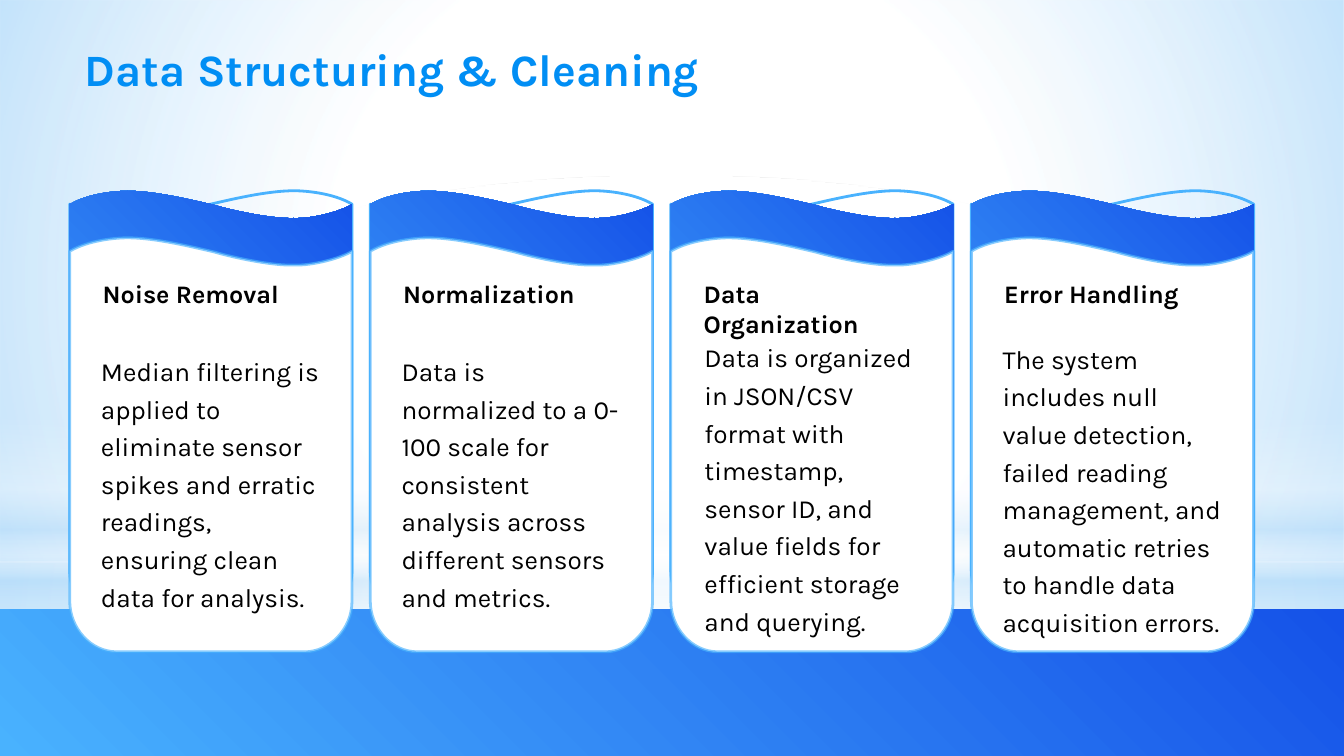
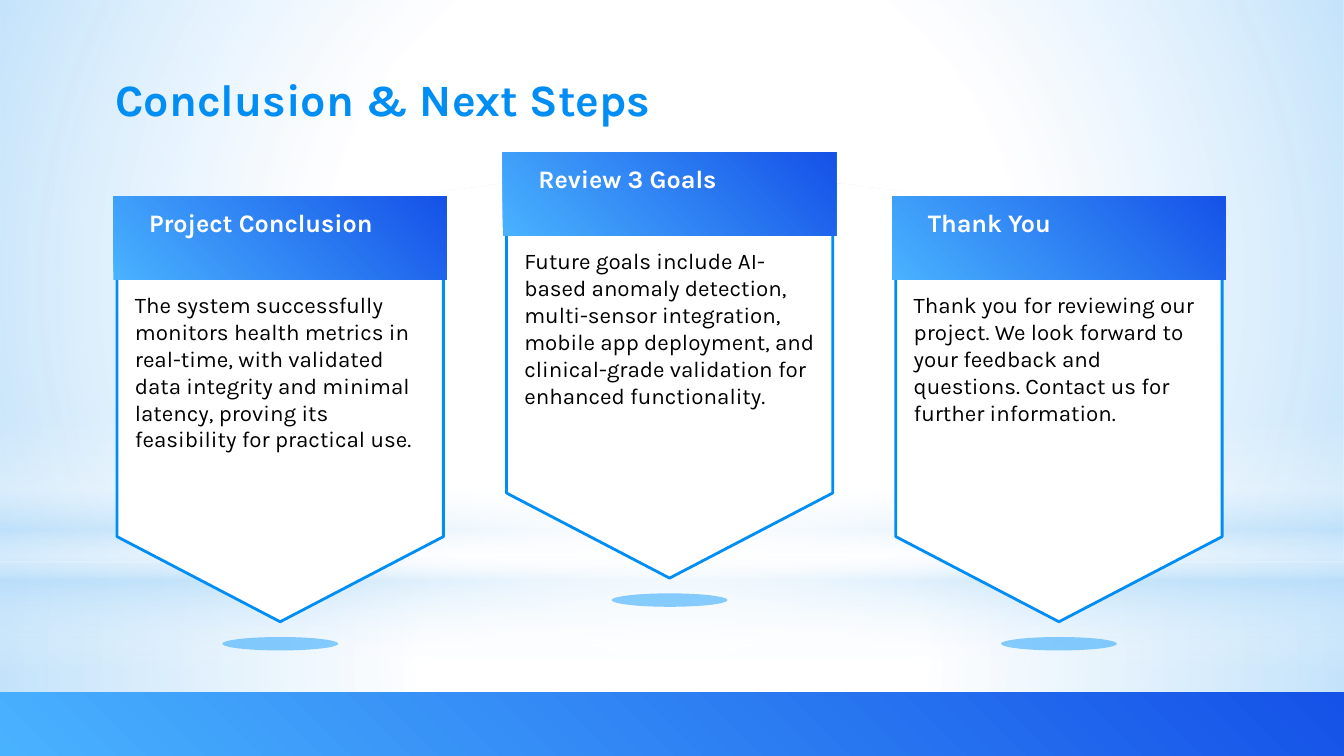
from dataclasses import dataclass
from typing import NamedTuple

from lxml.etree import SubElement
from pptx import Presentation
from pptx.dml.color import RGBColor
from pptx.enum.shapes import MSO_SHAPE
from pptx.enum.text import MSO_ANCHOR, MSO_AUTO_SIZE, PP_ALIGN
from pptx.oxml import parse_xml
from pptx.oxml.ns import nsdecls, qn
from pptx.util import Pt

COLORS = {
    "white": "FFFFFF",
    "black": "000000",
    "pale": "B4DCFA",
    "sky": "49B2FE",
    "blue": "018EF4",
    "deep": "1552E8",
}
FONT = "Karla"
WIDTH, HEIGHT = 720, 405


class Stop(NamedTuple):
    place: int
    color: str
    alpha: int = 100


class Blend(NamedTuple):
    stops: tuple[Stop, ...]
    angle: int | None = None


class Layer(NamedTuple):
    kind: MSO_SHAPE
    top: float
    height: float
    blend: Blend


@dataclass
class Card:
    head: str
    body: str
    left: float
    top: float


@dataclass
class Flag:
    head: str
    body: str
    lift: float = 0


BRAND = Blend((Stop(0, "sky"), Stop(100, "deep")), 315)

LAYERS = [
    Layer(MSO_SHAPE.RECTANGLE, 301.5, 103.5, Blend((
        Stop(0, "white", 91), Stop(37, "white", 76), Stop(100, "pale", 79)))),
    Layer(MSO_SHAPE.RECTANGLE, 0, 301.5, Blend((
        Stop(0, "white", 89), Stop(48, "white", 62), Stop(100, "pale", 79)))),
    Layer(MSO_SHAPE.RECTANGLE, 222.5, 135.4, Blend((
        Stop(0, "white", 0), Stop(29, "white", 30), Stop(45, "pale", 40),
        Stop(55, "white", 26), Stop(65, "pale", 60), Stop(100, "white", 0)), 90)),
    Layer(MSO_SHAPE.OVAL, 94.3, 301.5, Blend((
        Stop(0, "white"), Stop(56, "white", 0)))),
]

CARDS = [
    Card("Noise Removal",
         "Median filtering is applied to eliminate sensor spikes and erratic "
         "readings, ensuring clean data for analysis.", 11.5, 184.3),
    Card("Normalization",
         "Data is normalized to a 0-100 scale for consistent analysis across "
         "different sensors and metrics.", 11.5, 184.3),
    Card("Data Organization",
         "Data is organized in JSON/CSV format with timestamp, sensor ID, and "
         "value fields for efficient storage and querying.", 12.8, 177),
    Card("Error Handling",
         "The system includes null value detection, failed reading management, "
         "and automatic retries to handle data acquisition errors.", 11.5, 177.8),
]
CARD_LEFT, CARD_STEP, CARD_WIDE = 37.4, 161, 151.2

FLAGS = [
    Flag("Project Conclusion",
         "The system successfully monitors health metrics in real-time, with "
         "validated data integrity and minimal latency, proving its "
         "feasibility for practical use."),
    Flag("Review 3 Goals",
         "Future goals include AI-based anomaly detection, multi-sensor "
         "integration, mobile app deployment, and clinical-grade validation "
         "for enhanced functionality.", 23.4),
    Flag("Thank You",
         "Thank you for reviewing our project. We look forward to your "
         "feedback and questions. Contact us for further information."),
]
FLAG_LEFT, FLAG_STEP, FLAG_TOP = 60.7, 208.6, 105.1


def tint(name: str) -> RGBColor:
    return RGBColor.from_string(COLORS[name])


def fade(node, alpha: int) -> None:
    color = node.find(f".//{qn('a:srgbClr')}")
    SubElement(color, qn("a:alpha")).set("val", str(alpha * 1000))


def blend_fill(shape, blend: Blend) -> None:
    stops = "".join(
        f'<a:gs pos="{s.place * 1000}"><a:srgbClr val="{COLORS[s.color]}">'
        f'<a:alpha val="{s.alpha * 1000}"/></a:srgbClr></a:gs>'
        for s in blend.stops
    )
    if blend.angle is None:
        flow = ('<a:path path="circle"><a:fillToRect l="50000" t="50000" '
                'r="50000" b="50000"/></a:path>')
    else:
        flow = f'<a:lin ang="{blend.angle * 60000}" scaled="0"/>'
    grad = parse_xml(f'<a:gradFill {nsdecls("a")} rotWithShape="1">'
                     f'<a:gsLst>{stops}</a:gsLst>{flow}</a:gradFill>')
    shape.fill.solid()
    props = shape._element.spPr
    props.replace(props.find(qn("a:solidFill")), grad)


def paint(shape, fill: str | Blend | None, line: str | None = None):
    shape.shadow.inherit = False
    if fill is None:
        shape.fill.background()
    elif isinstance(fill, Blend):
        blend_fill(shape, fill)
    else:
        shape.fill.solid()
        shape.fill.fore_color.rgb = tint(fill)
    if line is None:
        shape.line.fill.background()
    else:
        shape.line.color.rgb = tint(line)
        shape.line.width = Pt(1.5)
    return shape


def add_box(slide, kind: MSO_SHAPE, left: float, top: float, wide: float,
            tall: float, fill: str | Blend):
    shape = slide.shapes.add_shape(kind, Pt(left), Pt(top), Pt(wide), Pt(tall))
    return paint(shape, fill)


def add_form(slide, points: list, fill: str | Blend | None,
             line: str | None = None):
    ends = [(Pt(x), Pt(y)) for x, y in points]
    form = slide.shapes.build_freeform(*ends[0])
    form.add_line_segments(ends[1:], close=True)
    return paint(form.convert_to_shape(), fill, line)


def set_text(shape, text: str, size: float, color: str, bold: bool = False,
             space: float = 1) -> None:
    frame = shape.text_frame
    frame.word_wrap = True
    frame.vertical_anchor = MSO_ANCHOR.TOP
    frame.auto_size = MSO_AUTO_SIZE.SHAPE_TO_FIT_TEXT
    frame.margin_left = frame.margin_right = Pt(5.2)
    frame.margin_top = frame.margin_bottom = Pt(2.7)
    frame.text = text
    para = frame.paragraphs[0]
    para.alignment = PP_ALIGN.LEFT
    para.line_spacing = space
    para.font.name = FONT
    para.font.size = Pt(size)
    para.font.bold = bold
    para.font.color.rgb = tint(color)


def add_text(slide, left: float, top: float, wide: float, tall: float,
             text: str, size: float, color: str, bold: bool = False,
             space: float = 1) -> None:
    box = slide.shapes.add_textbox(Pt(left), Pt(top), Pt(wide), Pt(tall))
    set_text(box, text, size, color, bold, space)


def add_slide(deck, layout, title: str, left: float, top: float, band: float):
    slide = deck.slides.add_slide(layout)
    head = slide.shapes.title
    head.left, head.top = Pt(left), Pt(top)
    head.width, head.height = Pt(579), Pt(34.6)
    set_text(head, title, 24, "blue", True)
    add_box(slide, MSO_SHAPE.RECTANGLE, 0, band, WIDTH, HEIGHT - band, BRAND)
    return slide


def set_back(slide, layout) -> None:
    for layer in LAYERS:
        shape = add_box(slide, layer.kind, 0, layer.top, WIDTH, layer.height,
                        layer.blend)
        layout.shapes._spTree.append(shape._element)


def bend_lines(shape, bends: list) -> None:
    trace = shape._element.spPr.find(f".//{qn('a:path')}")
    lines = iter(trace.findall(qn("a:lnTo")))
    for bend in bends:
        first, *rest = [next(lines) for _ in bend]
        if rest:
            first.tag = qn("a:cubicBezTo")
        for line in rest:
            first.append(line[0])
            trace.remove(line)


def add_wave(slide, left: float, top: float, tall: float,
             fill: str | Blend | None, line: str | None = None,
             flip: bool = False):
    wide, low = CARD_WIDE, tall - 27
    bends = [
        ((10, 1.2), (25, 0), (31, 0)),
        ((46, 0), (66, 5), (77, 7.5)),
        ((91, 11.5), (110, 15), (120, 14.6)),
        ((130, 15), (145, 11), (wide, 7.2)),
        ((wide, low),),
        ((wide, tall - 12), (139, tall), (126, tall)),
        ((25.2, tall),),
        ((11, tall), (0, tall - 13), (0, low)),
    ]
    points = [(0, 7.2)] + [point for bend in bends for point in bend]
    spots = [(left + (wide - x if flip else x), top + y) for x, y in points]
    shape = add_form(slide, spots, fill, line)
    bend_lines(shape, bends)
    return shape


def add_card(slide, left: float, card: Card) -> None:
    add_wave(slide, left, 102.2, 230.6, None, "sky", True)
    add_wave(slide, left, 102.2, 230.6, BRAND)
    front = add_wave(slide, left, 127.4, 221.8, "white", "sky")
    fade(front._element.spPr.find(qn("a:ln")), 65)
    add_text(slide, left + 12.4, 146.2, 126, 21.6, card.head, 13.5, "black", True)
    add_text(slide, left + card.left, card.top, 128.2, 146, card.body, 14,
             "black", space=1.2)


def add_flag(slide, left: float, flag: Flag) -> None:
    top = FLAG_TOP - flag.lift
    near, far, high, low = left + 2, left + 176.8, top + 24, top + 182.4
    tip = ((near + far) / 2, top + 228)
    add_form(slide, [(near, high), (far, high), (far, low), tip, (near, low)],
             "white", "blue")
    add_box(slide, MSO_SHAPE.RECTANGLE, left, top, 178.6, 44.8, BRAND)
    shade = add_box(slide, MSO_SHAPE.OVAL, left + 58.4, top + 236.2, 62, 7.2, "sky")
    fade(shade._element.spPr, 65)
    add_text(slide, left + 14, top + 3.2, 151.2, 21.6, flag.head, 13.5, "white", True)
    add_text(slide, left + 6.4, top + 48.2, 166.3, 93, flag.body, 12, "black")


def main() -> None:
    deck = Presentation()
    deck.slide_width, deck.slide_height = Pt(WIDTH), Pt(HEIGHT)
    layout = deck.slide_layouts.get_by_name("Title Only")

    clean = add_slide(deck, layout, "Data Structuring & Cleaning", 40.3, 19.4, 326.6)
    set_back(clean, layout)
    for i, card in enumerate(CARDS):
        add_card(clean, CARD_LEFT + i * CARD_STEP, card)

    close = add_slide(deck, layout, "Conclusion & Next Steps", 56.6, 35.8, 371)
    for i, flag in enumerate(FLAGS):
        add_flag(close, FLAG_LEFT + i * FLAG_STEP, flag)

    deck.save("out.pptx")


if __name__ == "__main__":
    main()
